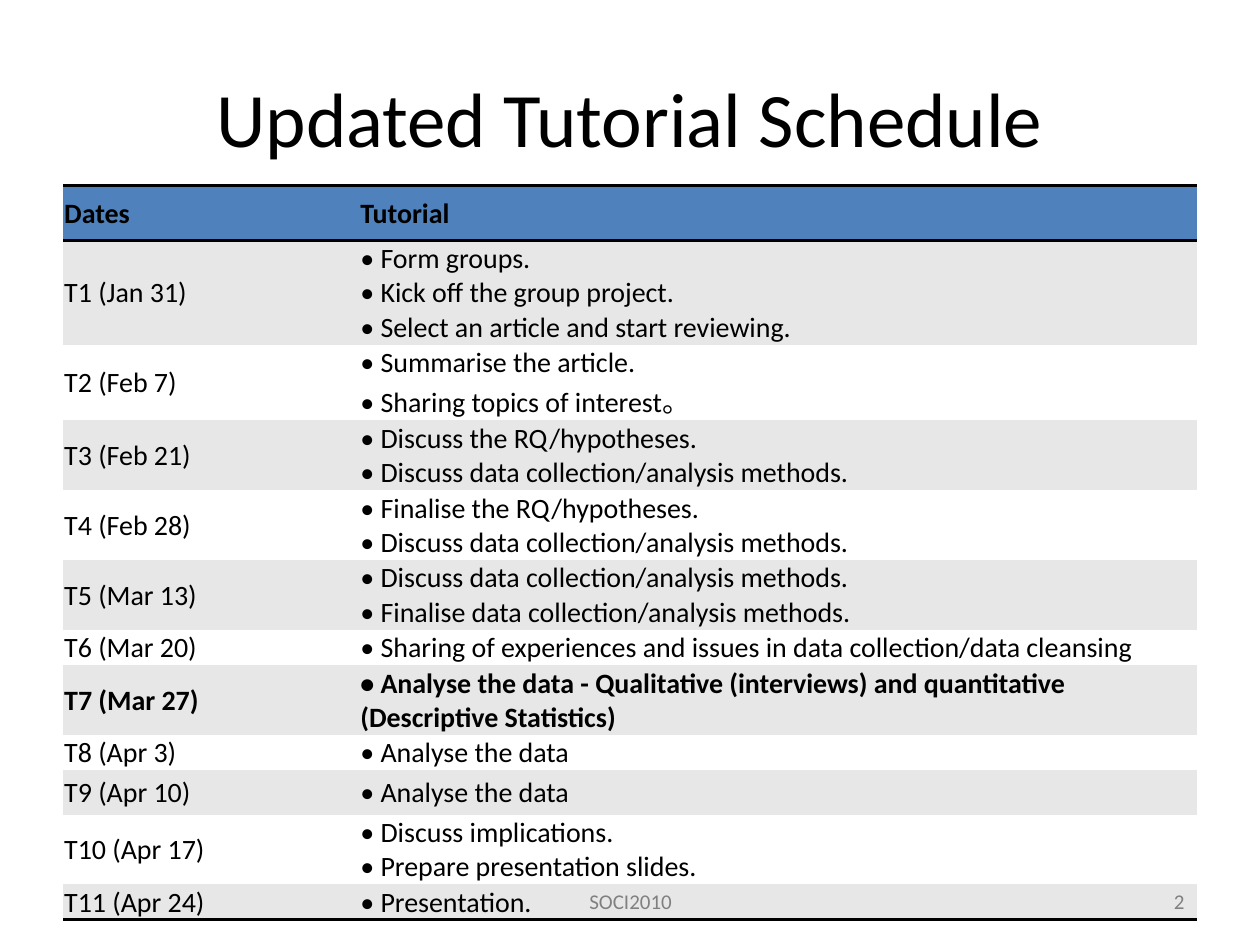
from copy import deepcopy

from lxml.etree import SubElement
from pptx import Presentation
from pptx.dml.color import RGBColor
from pptx.enum.text import MSO_ANCHOR, PP_ALIGN
from pptx.oxml.ns import qn
from pptx.util import Inches, Pt

BLACK = RGBColor(0x00, 0x00, 0x00)
WHITE = RGBColor(0xFF, 0xFF, 0xFF)
GREY = RGBColor(0x80, 0x80, 0x80)
BAND = RGBColor(0xE7, 0xE7, 0xE7)
BLUE = RGBColor(0x4F, 0x81, 0xBD)

NO_STYLE = "{2D5ABB26-0587-4C30-8999-92F81FD0307C}"
COLUMN_WIDTHS = [2.35, 6.65]
HIGHLIGHTED_ROW = 7

# Row height, date, tutorial topics
SCHEDULE = [
    (0.44, "Dates", "Tutorial"),
    (0.79, "T1 (Jan 31)", "• Form groups.\n• Kick off the group project.\n"
                          "• Select an article and start reviewing."),
    (0.53, "T2 (Feb 7)", "• Summarise the article.\n• Sharing topics of interest。"),
    (0.53, "T3 (Feb 21)", "• Discuss the RQ/hypotheses.\n"
                          "• Discuss data collection/analysis methods."),
    (0.53, "T4 (Feb 28)", "• Finalise the RQ/hypotheses.\n"
                          "• Discuss data collection/analysis methods."),
    (0.53, "T5 (Mar 13)", "• Discuss data collection/analysis methods.\n"
                          "• Finalise data collection/analysis methods."),
    (0.27, "T6 (Mar 20)", "• Sharing of experiences and issues in data collection/data cleansing"),
    (0.27, "T7 (Mar 27)", "• Analyse the data - Qualitative (interviews) and quantitative "
                          "(Descriptive Statistics)"),
    (0.27, "T8 (Apr 3)", "• Analyse the data"),
    (0.35, "T9 (Apr 10)", "• Analyse the data"),
    (0.27, "T10 (Apr 17)", "• Discuss implications.\n• Prepare presentation slides."),
    (0.27, "T11 (Apr 24)", "• Presentation."),
]


class SlideBuilder:
    """Holds the text style and the current slide."""

    def __init__(self, slide):
        self.slide = slide
        self.font_name = "Calibri"

    def set_text(self, paragraph, text, size, color=BLACK, bold=False, align=PP_ALIGN.LEFT):
        paragraph.text = text
        paragraph.alignment = align
        font_format = {"name": self.font_name, "size": Pt(size), "bold": bold}
        for run in paragraph.runs:
            for name, value in font_format.items():
                setattr(run.font, name, value)
            run.font.color.rgb = color
        # Line breaks take the size of the text around them
        for line_break in paragraph._p.findall(qn("a:br")):
            line_break.append(deepcopy(paragraph.runs[0]._r.rPr))

    def place(self, shape, left, top, width, height):
        box = {"left": left, "top": top, "width": width, "height": height}
        for name, value in box.items():
            setattr(shape, name, Inches(value))

    def title(self, text, *box):
        shape = self.slide.shapes.title
        self.place(shape, *box)
        shape.text_frame.vertical_anchor = MSO_ANCHOR.MIDDLE
        self.set_text(shape.text_frame.paragraphs[0], text, 44, align=PP_ALIGN.CENTER)

    def footer(self, text, align, *box):
        shape = self.slide.shapes.add_textbox(*map(Inches, box))
        frame = shape.text_frame
        frame.word_wrap = True
        frame.vertical_anchor = MSO_ANCHOR.MIDDLE
        paragraph = frame.paragraphs[0]
        paragraph.space_after = Pt(6)
        self.set_text(paragraph, text, 12, GREY, align=align)

    def border(self, cell, side):
        properties = cell._tc.get_or_add_tcPr()
        line = SubElement(properties, qn(f"a:{side}"), w=str(Pt(2)))
        fill = SubElement(line, qn("a:solidFill"))
        SubElement(fill, qn("a:srgbClr"), val=str(BLACK))

    def cell(self, cell, text, fill, bold, sides):
        cell_format = {
            "vertical_anchor": MSO_ANCHOR.MIDDLE,
            "margin_left": Inches(0.01), "margin_right": Inches(0.01),
            "margin_top": Inches(0.01), "margin_bottom": 0,
        }
        for name, value in cell_format.items():
            setattr(cell, name, value)
        self.set_text(cell.text_frame.paragraphs[0], text, 16, bold=bold)
        # Borders come before the fill in the cell properties
        for side in sides:
            self.border(cell, side)
        cell.fill.solid()
        cell.fill.fore_color.rgb = fill

    def schedule(self, rows, *box):
        frame = self.slide.shapes.add_table(len(rows), len(COLUMN_WIDTHS), *map(Inches, box))
        table = frame.table
        table._tbl.tblPr.find(qn("a:tableStyleId")).text = NO_STYLE
        for column, width in zip(table.columns, COLUMN_WIDTHS):
            column.width = Inches(width)
        borders = {0: ["lnT", "lnB"], len(rows) - 1: ["lnB"]}
        for index, (height, *texts) in enumerate(rows):
            table.rows[index].height = Inches(height)
            fill = BLUE if index == 0 else BAND if index % 2 else WHITE
            bold = index in (0, HIGHLIGHTED_ROW)
            for cell, text in zip(table.rows[index].cells, texts):
                self.cell(cell, text, fill, bold, borders.get(index, []))


def main():
    presentation = Presentation()
    presentation.slide_width = Inches(10)
    presentation.slide_height = Inches(7.5)
    title_only = presentation.slide_layouts[5]
    builder = SlideBuilder(presentation.slides.add_slide(title_only))

    # Title and schedule
    builder.title("Updated Tutorial Schedule", 0.5, 0.3, 9, 1.25)
    builder.schedule(SCHEDULE, 0.5, 1.47, 9, 5.65)

    # Course code and page number
    builder.footer("SOCI2010", PP_ALIGN.CENTER, 3.42, 6.95, 3.17, 0.4)
    builder.footer("2", PP_ALIGN.RIGHT, 7.17, 6.95, 2.33, 0.4)

    presentation.save("out.pptx")


if __name__ == "__main__":
    main()
